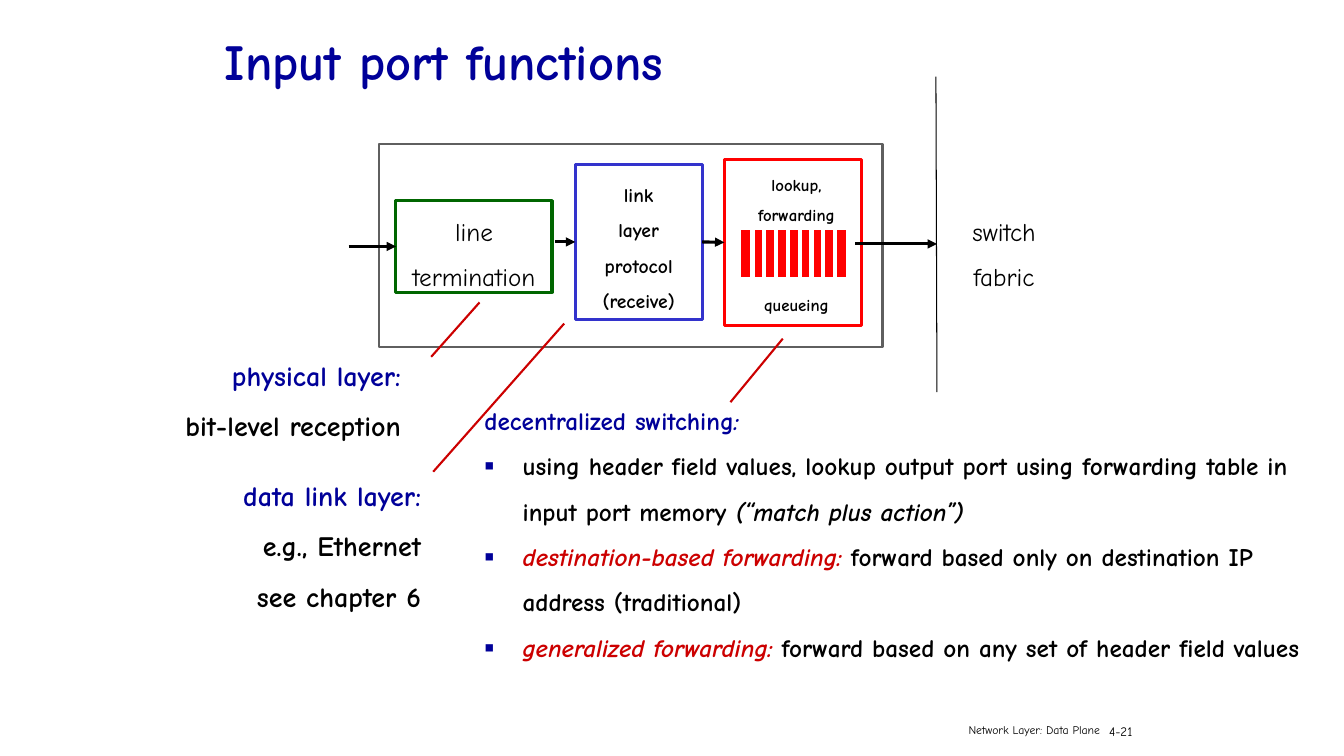
from lxml.etree import SubElement
from pptx import Presentation
from pptx.dml.color import RGBColor
from pptx.enum.shapes import MSO_CONNECTOR, MSO_SHAPE
from pptx.enum.text import MSO_ANCHOR, MSO_AUTO_SIZE, PP_ALIGN
from pptx.oxml.ns import qn
from pptx.util import Inches, Pt

BLACK = RGBColor(0x00, 0x00, 0x00)
WHITE = RGBColor(0xFF, 0xFF, 0xFF)
GRAY = RGBColor(0x5F, 0x5F, 0x5F)
GREEN = RGBColor(0x00, 0x66, 0x00)
BLUE = RGBColor(0x33, 0x33, 0xCC)
RED = RGBColor(0xFF, 0x00, 0x00)
NAVY = RGBColor(0x00, 0x00, 0x99)
CRIMSON = RGBColor(0xCC, 0x00, 0x00)
FONT = "Comic Neue"
LEFT, CENTER, RIGHT = PP_ALIGN.LEFT, PP_ALIGN.CENTER, PP_ALIGN.RIGHT
CELL = Inches(0.1)  # the slide is a grid of square cells

prs = Presentation()
prs.slide_width, prs.slide_height = int(133.4 * CELL), 75 * CELL
s = prs.slides.add_slide(prs.slide_layouts[5])


def write(tf, paragraphs, size, bold=False, align=LEFT, spacing=1.5, wrap=True):
    """Fill a frame; each paragraph is a list of (text, colour, italic) runs."""
    tf.word_wrap = wrap
    tf.auto_size = MSO_AUTO_SIZE.NONE
    for i, runs in enumerate(paragraphs):
        p = tf.paragraphs[0] if i == 0 else tf.add_paragraph()
        p.alignment, p.line_spacing = align, spacing
        for text, color, italic in runs:
            r = p.add_run()
            r.text = text
            r.font.name, r.font.size = FONT, Pt(size)
            r.font.bold, r.font.italic = bold, italic
            r.font.color.rgb = color


def add_line(x1, y1, x2, y2, color, width, arrow=False):
    """Draw a straight line between two grid points."""
    c = s.shapes.add_connector(MSO_CONNECTOR.STRAIGHT,
                               *(int(v * CELL) for v in (x1, y1, x2, y2)))
    c.line.color.rgb, c.line.width = color, Pt(width)
    if arrow:
        SubElement(c.line._get_or_add_ln(), qn("a:tailEnd"), type="triangle")
    SubElement(c._element.spPr, qn("a:effectLst"))
    return c


# Title
title = s.shapes.title
title.left, title.top, title.width, title.height = (
    int(v * CELL) for v in (21.3, 1.1, 85, 6.7))
title.text_frame.vertical_anchor = MSO_ANCHOR.MIDDLE
write(title.text_frame, [[("Input port functions", NAVY, False)]], 36, bold=True)

# Port frame, its three stages and the switch fabric
boxes = {}
for name, cells, outline, width, lines, size, bold in [
    ("port", (37.6, 14.3, 50, 20.1), GRAY, 1.5, [], 18, False),
    ("termination", (39.3, 19.9, 15.5, 9.1), GREEN, 2.25, ["line", "termination"], 18, False),
    ("protocol", (57.1, 16.3, 12.6, 15.4), BLUE, 2.25,
     ["link", "layer", "protocol", "(receive)"], 14, True),
    ("lookup", (71.9, 15.8, 13.6, 16.5), RED, 2.25,
     ["lookup,", "forwarding", "queueing"], 12, True),
    ("fabric", (93.9, 19.9, 11.5, 9.1), None, 0, ["switch", "fabric"], 18, False),
]:
    sp = s.shapes.add_shape(MSO_SHAPE.RECTANGLE, *(int(v * CELL) for v in cells))
    sp.shadow.inherit = False
    sp.fill.solid()
    sp.fill.fore_color.rgb = WHITE
    if outline is None:
        sp.line.fill.background()
    else:
        sp.line.color.rgb, sp.line.width = outline, Pt(width)
    write(sp.text_frame, [[(t, BLACK, False)] for t in lines], size, bold, CENTER, wrap=False)
    sp.text_frame.vertical_anchor = MSO_ANCHOR.MIDDLE
    boxes[name] = sp

# Leave room for the queue between "forwarding" and "queueing"
tf = boxes["lookup"].text_frame
tf.vertical_anchor = MSO_ANCHOR.TOP
tf.margin_left = Inches(0.17)
tf.paragraphs[2].space_before = Pt(43)

# Queue: a red bar cut into nine slots
sp = s.shapes.add_shape(MSO_SHAPE.RECTANGLE,
                        *(int(v * CELL) for v in (73.3, 22.6, 10.9, 5.1)))
sp.shadow.inherit = False
sp.fill.solid()
sp.fill.fore_color.rgb = RED
sp.line.color.rgb, sp.line.width = WHITE, Pt(3)
for i in range(8):
    x = 74.7 + 1.17 * i
    add_line(x, 22.6, x, 27.5, WHITE, 3)

# Flow arrows through the port
for x1, x2, y, source, target in [
    (34.6, 39.3, 24.45, None, "termination"),
    (55.1, 57.1, 24, None, "protocol"),
    (69.7, 71.9, 24, "protocol", "lookup"),
    (84.9, 93, 24.2, None, None),
]:
    c = add_line(x1, y, x2, y, BLACK, 2.25, arrow=True)
    if source:
        c.begin_connect(boxes[source], 3)
    if target:
        c.end_connect(boxes[target], 1)

# Edge of the switch fabric
add_line(92.9, 7.6, 93, 38.9, BLACK, 0.75)

# Notes on the layers, and the footer
for cells, lines, size, bold, align, spacing in [
    ((17.3, 33.4, 23.5, 11), [("physical layer:", NAVY), ("bit-level reception", BLACK)],
     20, True, RIGHT, 1.5),
    ((17.4, 45.3, 25.4, 16),
     [("data link layer:", NAVY), ("e.g., Ethernet", BLACK), ("see chapter 6", BLACK)],
     20, True, RIGHT, 1.5),
    ((86.4, 70.8, 23.8, 2.6), [("Network Layer: Data Plane", BLACK)], 8.4, False, RIGHT, 1.3),
    ((109.1, 70.8, 6.1, 3), [("4-21", BLACK)], 9.3, False, LEFT, 1.3),
]:
    tb = s.shapes.add_textbox(*(int(v * CELL) for v in cells))
    write(tb.text_frame, [[(t, color, False)] for t, color in lines],
          size, bold, align, spacing)

# Decentralized switching: heading and bullets
tb = s.shapes.add_textbox(*(int(v * CELL) for v in (47.1, 38.2, 85.4, 29.2)))
write(tb.text_frame, [
    [("decentralized switching", NAVY, False), (":", NAVY, True)],
    [("using header field values, lookup output port using forwarding table in "
      "input port memory ", BLACK, False),
     ("(“match plus action”)", BLACK, True)],
    [("destination-based forwarding: ", CRIMSON, True),
     ("forward based only on destination IP address (traditional)", BLACK, False)],
    [("generalized forwarding: ", CRIMSON, True),
     ("forward based on any set of header field values", BLACK, False)],
], 18, bold=True)
for p in tb.text_frame.paragraphs[1:]:
    pPr = p._p.get_or_add_pPr()
    pPr.set("marL", str(Inches(0.38)))
    pPr.set("indent", str(-Inches(0.38)))
    color = SubElement(pPr, qn("a:buClr"))
    SubElement(color, qn("a:srgbClr"), val=str(NAVY))
    SubElement(pPr, qn("a:buFont"), typeface=FONT)
    SubElement(pPr, qn("a:buChar"), char="▪")

# Leader lines from the notes to the stages
for ends in [(42.8, 35.4, 47.6, 30), (43, 46.8, 56, 32.1), (72.5, 39.9, 77.7, 33.6)]:
    add_line(*ends, CRIMSON, 1.5)

prs.save("out.pptx")
